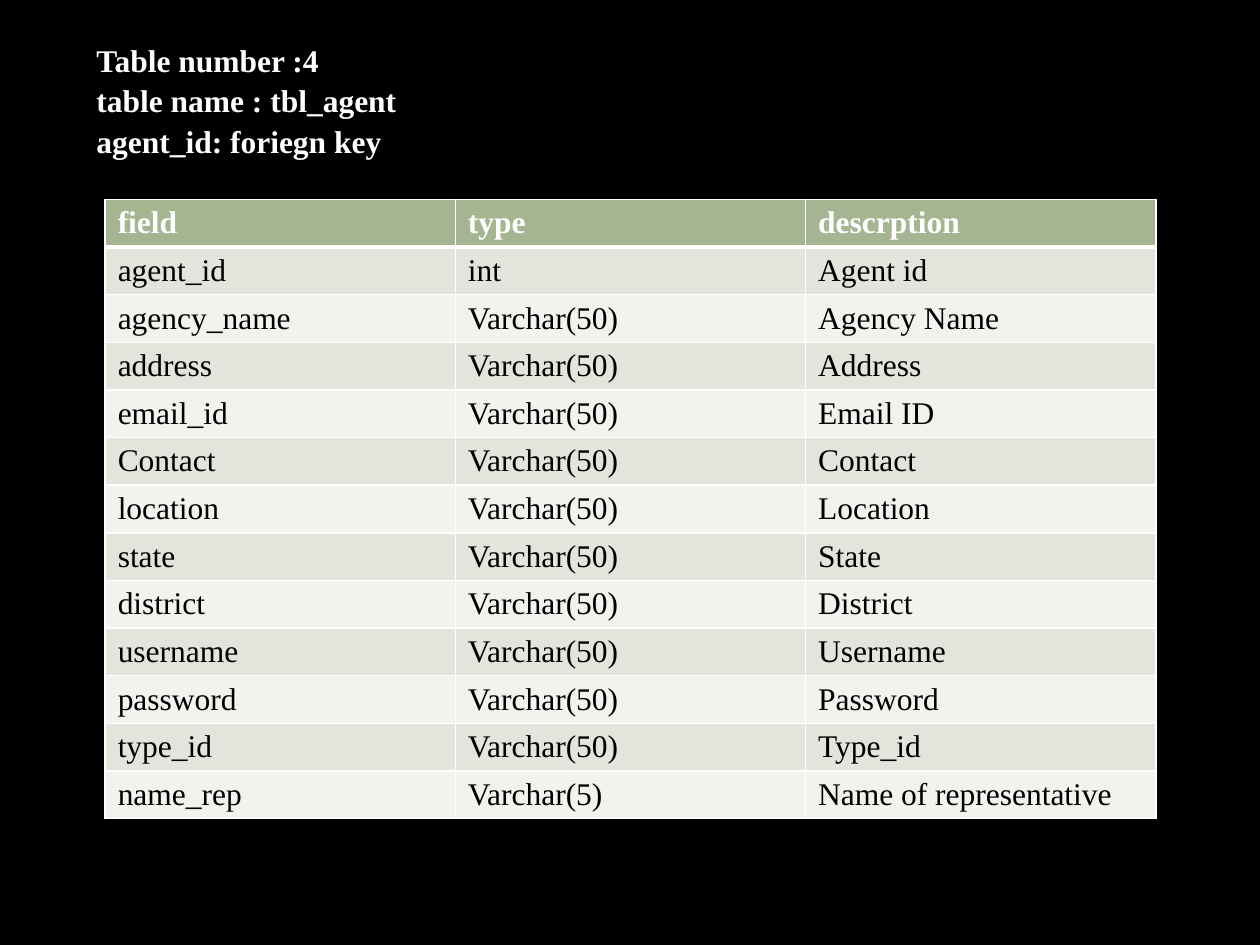
from lxml.etree import SubElement
from pptx import Presentation
from pptx.dml.color import RGBColor
from pptx.enum.text import MSO_ANCHOR, MSO_AUTO_SIZE, PP_ALIGN
from pptx.oxml.ns import qn
from pptx.util import Cm, Pt

BLACK = RGBColor(0x00, 0x00, 0x00)
WHITE = RGBColor(0xFF, 0xFF, 0xFF)
HEADER_GREEN = RGBColor(0xA5, 0xB5, 0x92)
BANDS = (RGBColor(0xF0, 0xF3, 0xEE), RGBColor(0xE1, 0xE5, 0xDC))

TITLE_LINES = ["Table number :4", "table name : tbl_agent", "agent_id: foriegn key"]
TEXT_TYPE = "Varchar(50)"
AGENT_FIELDS = [
    ("field", "type", "descrption"),
    ("agent_id", "int", "Agent id"),
    ("agency_name", TEXT_TYPE, "Agency Name"),
    ("address", TEXT_TYPE, "Address"),
    ("email_id", TEXT_TYPE, "Email ID"),
    ("Contact", TEXT_TYPE, "Contact"),
    ("location", TEXT_TYPE, "Location"),
    ("state", TEXT_TYPE, "State"),
    ("district", TEXT_TYPE, "District"),
    ("username", TEXT_TYPE, "Username"),
    ("password", TEXT_TYPE, "Password"),
    ("type_id", TEXT_TYPE, "Type_id"),
    ("name_rep", "Varchar(5)", "Name of representative"),
]


class SlideWriter:
    font_name = "Times New Roman"
    font_size = Pt(18)

    def __init__(self, page):
        self.page = page

    def background(self, color):
        fill = self.page.background.fill
        fill.solid()
        fill.fore_color.rgb = color

    def style(self, para, color, bold):
        for span in para.runs:
            span.font.name = self.font_name
            span.font.size = self.font_size
            span.font.bold = bold
            span.font.color.rgb = color

    def title(self, lines, left, top, width, height):
        box = self.page.shapes.title
        box.left, box.top, box.width, box.height = left, top, width, height
        frame = box.text_frame
        frame.text = "\n".join(lines)
        frame.word_wrap = True
        frame.auto_size = MSO_AUTO_SIZE.NONE
        frame.vertical_anchor = MSO_ANCHOR.TOP
        for para in frame.paragraphs:
            para.alignment = PP_ALIGN.LEFT
            para.line_spacing = 1.07
            para.space_before = Pt(0)
            self.style(para, WHITE, True)

    def borders(self, cell, bottom_width):
        properties = cell._tc.get_or_add_tcPr()
        for side in "LRTB":
            width = bottom_width if side == "B" else Pt(1)
            line = SubElement(properties, qn(f"a:ln{side}"), w=str(width))
            fill = SubElement(line, qn("a:solidFill"))
            SubElement(fill, qn("a:srgbClr"), val=str(WHITE))

    def table(self, rows, left, top, column_width, row_height):
        columns = len(rows[0])
        grid = self.page.shapes.add_table(
            len(rows), columns, left, top, column_width * columns, row_height * len(rows)
        ).table
        for column in grid.columns:
            column.width = column_width
        for index, values in enumerate(rows):
            grid.rows[index].height = row_height
            header = index == 0
            for cell, value in zip(grid.rows[index].cells, values):
                cell.text_frame.text = value
                self.style(cell.text_frame.paragraphs[0], WHITE if header else BLACK, header)
                self.borders(cell, Pt(3) if header else Pt(1))
                cell.fill.solid()
                cell.fill.fore_color.rgb = HEADER_GREEN if header else BANDS[index % 2]


def main():
    deck = Presentation()
    deck.slide_width, deck.slide_height = Cm(25.4), Cm(19.05)
    writer = SlideWriter(deck.slides.add_slide(deck.slide_layouts[5]))
    writer.background(BLACK)
    writer.table(AGENT_FIELDS, Cm(2.12), Cm(4.02), Cm(7.06), Cm(0.96))
    writer.title(TITLE_LINES, Cm(1.69), Cm(0.64), Cm(12.7), Cm(3.33))
    deck.save("out.pptx")


if __name__ == "__main__":
    main()
